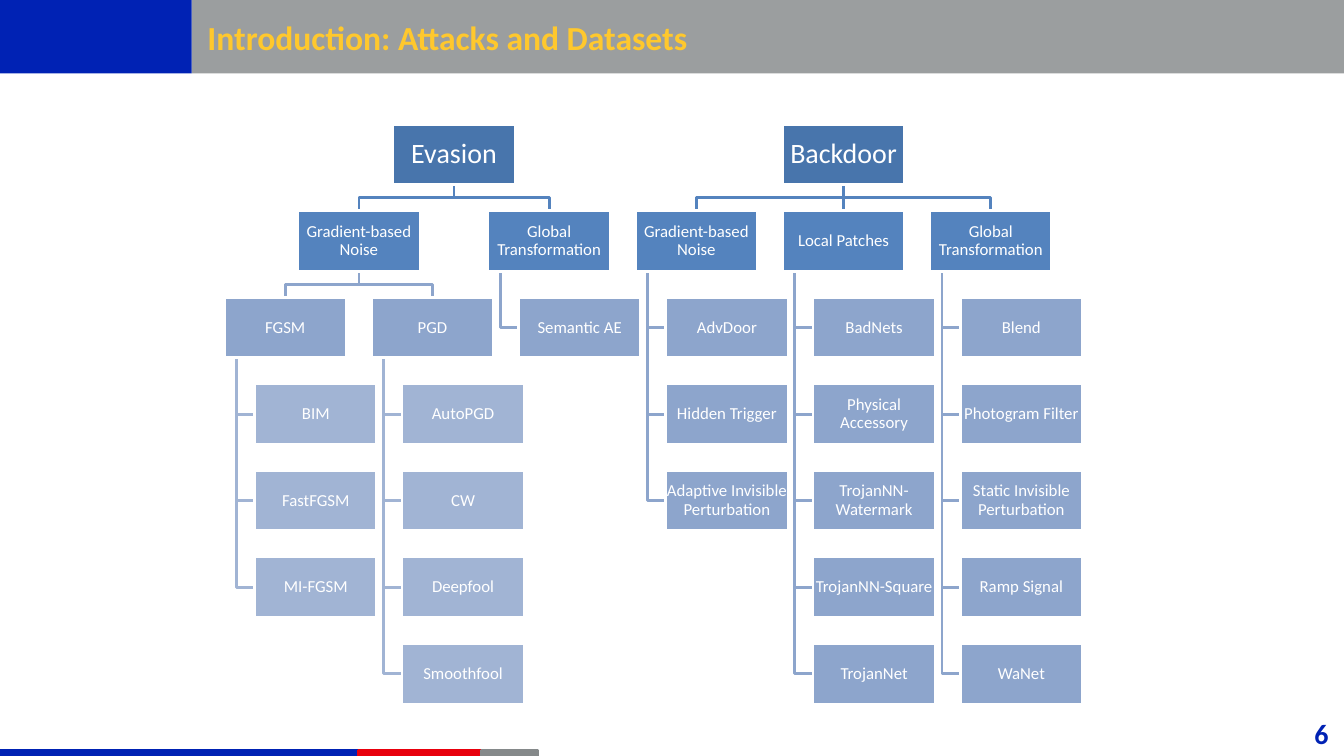
"""Build a slide that shows attack families as two organisation trees."""
from dataclasses import dataclass

from lxml import etree
from pptx import Presentation
from pptx.dml.color import RGBColor
from pptx.enum import shapes, text
from pptx.oxml import ns
from pptx.util import Cm, Pt

FONT = "Calibri"
WHITE = RGBColor(0xFF, 0xFF, 0xFF)
BLUE = RGBColor(0x00, 0x22, 0xB4)
RED = RGBColor(0xE8, 0x00, 0x0D)
GRAY = RGBColor(0x85, 0x89, 0x8A)
YELLOW = RGBColor(0xFF, 0xC8, 0x2D)
LEVELS = (RGBColor(0x48, 0x75, 0xAC), RGBColor(0x54, 0x83, 0xBE),
          RGBColor(0x8D, 0xA5, 0xCC), RGBColor(0xA1, 0xB4, 0xD4))

BOX_W, BOX_H = 3.08, 1.53
TOP, ROW_STEP = 3.13, 2.18
COLUMN_STEP = 3.71
INDENT, TRUNK = 0.77, 0.31
FIRST_LEFT, THIRD_LEFT = 5.65, 12.3
LINE_W = Pt(2)


@dataclass
class Node:
    """A box whose children are spread out, or hang below it when they are names."""
    label: str
    children: tuple = ()
    start: float = 0

    @property
    def left(self) -> float:
        if self.start:
            return self.start
        return (self.children[0].left + self.children[-1].left) / 2


@dataclass
class Bar:
    """A plain strip of the slide frame."""
    left: float
    top: float
    width: float
    height: float
    color: RGBColor
    alpha: int = 100
    outlined: bool = False


BARS = (
    Bar(0, 18.92, 9.04, 0.13, BLUE, outlined=True),
    Bar(9.04, 18.92, 3.1, 0.13, RED, outlined=True),
    Bar(12.14, 18.92, 1.42, 0.13, GRAY, outlined=True),
    Bar(4.83, 0, 29.04, 1.85, GRAY, alpha=82),
    Bar(0, 0, 4.83, 1.85, BLUE),
)

TREES = (
    Node("Evasion", (
        Node("Gradient-based Noise", (
            Node("FGSM", ("BIM", "FastFGSM", "MI-FGSM"), FIRST_LEFT),
            Node("PGD", ("AutoPGD", "CW", "Deepfool", "Smoothfool"),
                 FIRST_LEFT + COLUMN_STEP),
        )),
        Node("Global Transformation", ("Semantic AE",), THIRD_LEFT),
    )),
    Node("Backdoor", (
        Node("Gradient-based Noise",
             ("AdvDoor", "Hidden Trigger", "Adaptive Invisible Perturbation"),
             THIRD_LEFT + COLUMN_STEP),
        Node("Local Patches",
             ("BadNets", "Physical Accessory", "TrojanNN-Watermark",
              "TrojanNN-Square", "TrojanNet"),
             THIRD_LEFT + 2 * COLUMN_STEP),
        Node("Global Transformation",
             ("Blend", "Photogram Filter", "Static Invisible Perturbation",
              "Ramp Signal", "WaNet"),
             THIRD_LEFT + 3 * COLUMN_STEP),
    )),
)


def row_top(row: int) -> float:
    return TOP + row * ROW_STEP


def add_rect(s, left: float, top: float, width: float, height: float, color: RGBColor):
    sp = s.shapes.add_shape(shapes.MSO_SHAPE.RECTANGLE,
                            Cm(left), Cm(top), Cm(width), Cm(height))
    sp.shadow.inherit = False
    sp.fill.solid()
    sp.fill.fore_color.rgb = color
    return sp


def add_bar(s, bar: Bar) -> None:
    sp = add_rect(s, bar.left, bar.top, bar.width, bar.height, bar.color)
    if bar.outlined:
        sp.line.color.rgb = bar.color
        sp.line.width = LINE_W
    else:
        sp.line.fill.background()
    if bar.alpha < 100:
        color = sp.fill._xPr.find(".//" + ns.qn("a:srgbClr"))
        etree.SubElement(color, ns.qn("a:alpha"), val=str(bar.alpha * 1000))


def write(sp, words: str, size: int, color: RGBColor, align, bold: bool = False):
    tf = sp.text_frame
    tf.word_wrap = True
    tf.vertical_anchor = text.MSO_ANCHOR.MIDDLE
    p = tf.paragraphs[0]
    p.text = words
    p.alignment = align
    p.font.name, p.font.size, p.font.bold = FONT, Pt(size), bold
    p.font.color.rgb = color
    return tf


def add_label(s, left: float, top: float, width: float, height: float,
              words: str, size: int, color: RGBColor, align) -> None:
    sp = s.shapes.add_textbox(Cm(left), Cm(top), Cm(width), Cm(height))
    write(sp, words, size, color, align, bold=True)


def add_box(s, words: str, left: float, row: int, level: int) -> None:
    sp = add_rect(s, left, row_top(row), BOX_W, BOX_H, LEVELS[level])
    sp.line.color.rgb = WHITE
    sp.line.width = LINE_W
    tf = write(sp, words, 12 if level else 20, WHITE, text.PP_ALIGN.CENTER)
    tf.margin_left = tf.margin_right = tf.margin_top = tf.margin_bottom = Cm(0.02)
    tf.paragraphs[0].line_spacing = 0.9


def add_link(s, points: list[tuple[float, float]], color: RGBColor) -> None:
    ends = [(Cm(x), Cm(y)) for x, y in points]
    if ends[0][0] == ends[-1][0]:
        sp = s.shapes.add_connector(shapes.MSO_CONNECTOR.STRAIGHT, *ends[0], *ends[-1])
    else:
        builder = s.shapes.build_freeform(*ends[0])
        builder.add_line_segments(ends[1:], close=False)
        sp = builder.convert_to_shape()
        sp.fill.background()
    sp.line.color.rgb = color
    sp.line.width = LINE_W
    etree.SubElement(sp._element.spPr, ns.qn("a:effectLst"))


def draw_links(s, node: Node, level: int = 0) -> None:
    color = LEVELS[level + 1]
    bottom = row_top(level) + BOX_H
    for row, child in enumerate(node.children, level + 1):
        if isinstance(child, Node):
            x, child_x = node.left + BOX_W / 2, child.left + BOX_W / 2
            child_top = row_top(level + 1)
            middle = (bottom + child_top) / 2
            add_link(s, [(x, bottom), (x, middle), (child_x, middle),
                         (child_x, child_top)], color)
            draw_links(s, child, level + 1)
        else:
            x, y = node.left + TRUNK, row_top(row) + BOX_H / 2
            add_link(s, [(x, bottom), (x, y), (node.left + INDENT, y)], color)


def draw_boxes(s, node: Node, level: int = 0) -> None:
    add_box(s, node.label, node.left, level, level)
    for row, child in enumerate(node.children, level + 1):
        if isinstance(child, Node):
            draw_boxes(s, child, level + 1)
        else:
            add_box(s, child, node.left + INDENT, row, level + 1)


def main() -> None:
    prs = Presentation()
    prs.slide_width, prs.slide_height = Cm(33.87), Cm(19.05)
    s = prs.slides.add_slide(prs.slide_layouts[6])
    for bar in BARS:
        add_bar(s, bar)
    add_label(s, 4.98, 0.15, 22.2, 1.55, "Introduction: Attacks and Datasets",
              24, YELLOW, text.PP_ALIGN.LEFT)
    for draw in (draw_links, draw_boxes):
        for tree in TREES:
            draw(s, tree)
    add_label(s, 30.02, 17.96, 3.71, 1.02, "6", 20, BLUE, text.PP_ALIGN.RIGHT)
    prs.save("out.pptx")


if __name__ == "__main__":
    main()
